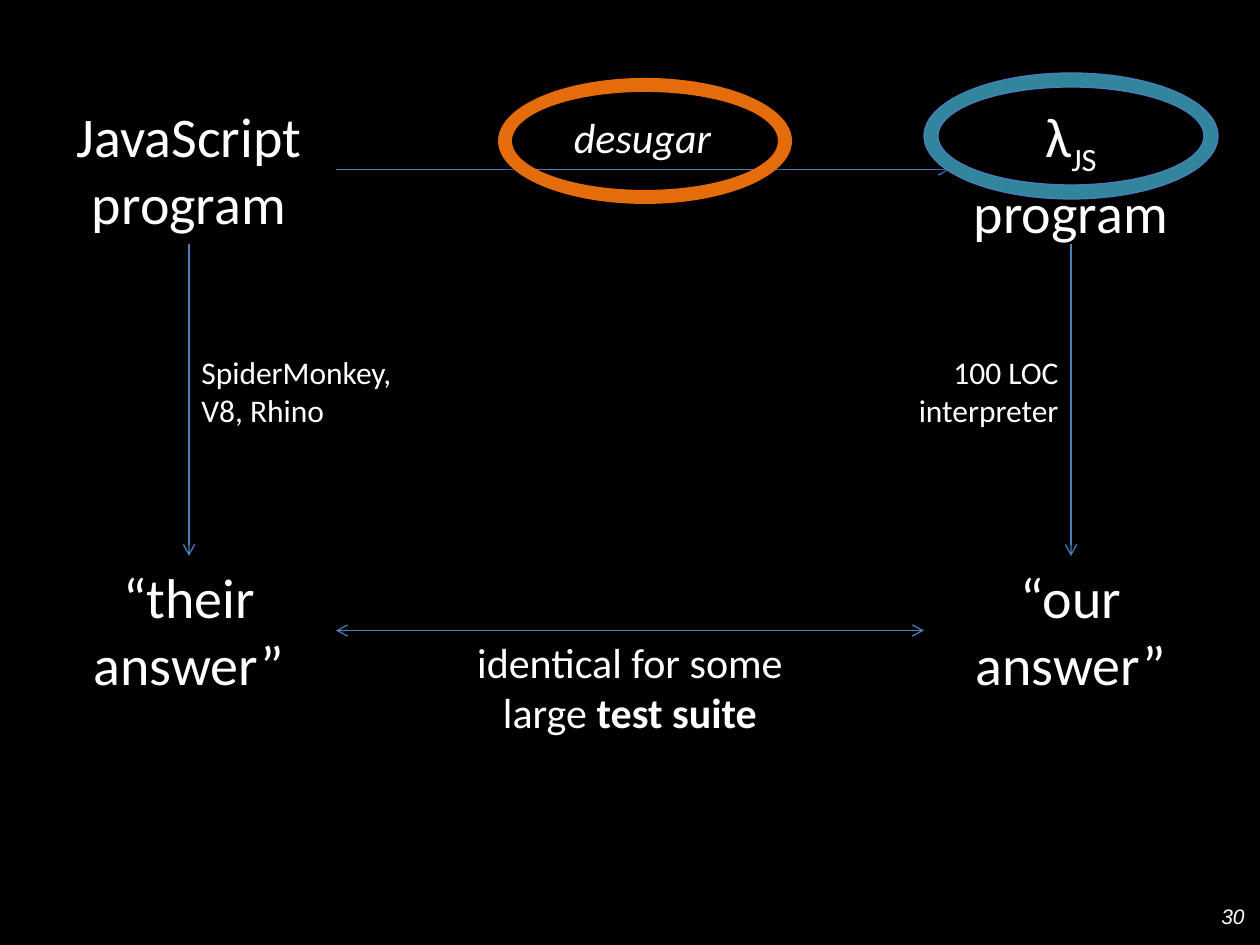
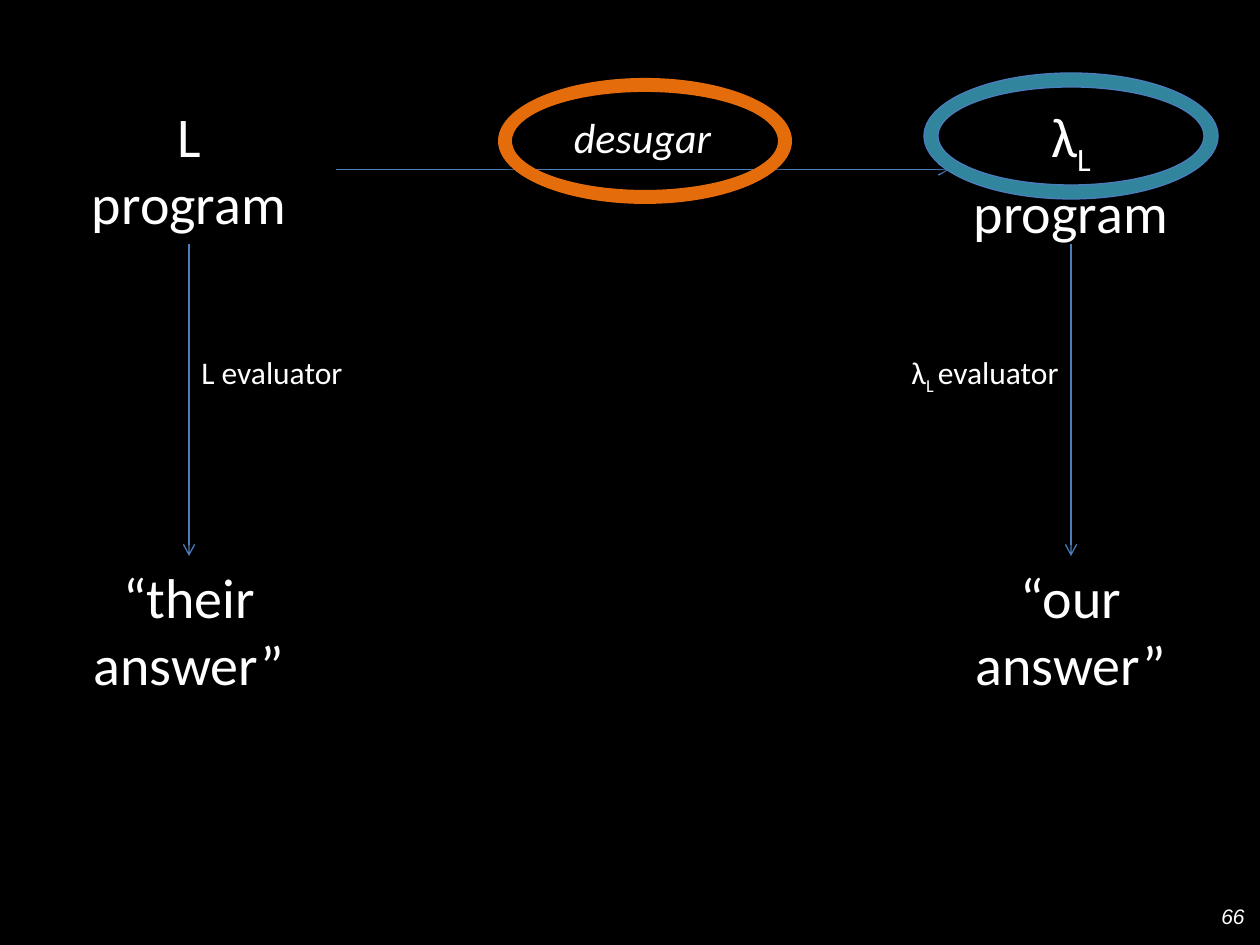
from dataclasses import dataclass
from lxml.etree import SubElement as Sub
from pptx import Presentation
from pptx.dml.color import RGBColor as RGB
from pptx.enum.shapes import MSO_CONNECTOR as Conn, MSO_SHAPE as Shape
from pptx.enum.text import MSO_ANCHOR as Anchor, MSO_AUTO_SIZE as Fit, PP_ALIGN as Align
from pptx.oxml.ns import qn
from pptx.util import Emu, Pt

TOP, LEFT, BOTTOM, RIGHT = range(4)


@dataclass(frozen=True)
class Theme:
    """Colours, fonts and sizes that the slides share."""
    back: RGB = RGB(0, 0, 0)
    ink: RGB = RGB(255, 255, 255)
    line: RGB = RGB(0x4B, 0x7E, 0xBC)
    teal: RGB = RGB(0x31, 0x85, 0x9C)
    orange: RGB = RGB(0xE4, 0x6C, 0x0A)
    body: str = "Calibri"
    foot: str = "Arial"
    node: int = 32
    edge: int = 24
    note: int = 18
    tiny: int = 12
    thin: float = 0.75


THEME = Theme()


def px(*nums):
    """Turn px lengths into EMU at 126 px to the inch."""
    return [Emu(round(num * 914400 / 126)) for num in nums]


def add_run(para, text, size, face, bold=False, slant=False, sub=False):
    """Add one formatted run."""
    run = para.add_run()
    run.text = text
    font = run.font
    font.size, font.name, font.color.rgb = Pt(size), face, THEME.ink
    if bold:
        font.bold = True
    if slant:
        font.italic = True
    if sub:
        run._r.get_or_add_rPr().set("baseline", "-25000")


def add_break(para, size, sub=False):
    """Add a line break as tall as the text before it."""
    para.add_line_break()
    props = Sub(para._p[-1], qn("a:rPr"), sz=str(size * 100))
    if sub:
        props.set("baseline", "-25000")


def add_text(slide, box, parts, size, align=Align.CENTER, face=THEME.body, grow=True):
    """Add a text box from (text, style) parts, where a newline breaks the line."""
    shape = slide.shapes.add_textbox(*px(*box))
    frame = shape.text_frame
    frame.word_wrap = True
    if grow:
        frame.auto_size = Fit.SHAPE_TO_FIT_TEXT
    else:
        frame.vertical_anchor = Anchor.MIDDLE
    para = frame.paragraphs[0]
    para.alignment = align
    for text, style in parts:
        for pos, row in enumerate(text.split("\n")):
            if pos:
                add_break(para, size, style.get("sub", False))
            if row:
                add_run(para, row, size, face, **style)
    return shape


def add_arrow(slide, start, exit, end, entry, both=False):
    """Join two boxes by an arrow, with two heads if asked."""
    link = slide.shapes.add_connector(Conn.STRAIGHT, 0, 0, 0, 0)
    link.begin_connect(start, exit)
    link.end_connect(end, entry)
    link.line.color.rgb = THEME.line
    link.line.width = Pt(THEME.thin)
    line = link.line._get_or_add_ln()
    for tag in ("a:headEnd", "a:tailEnd") if both else ("a:tailEnd",):
        Sub(line, qn(tag), type="arrow")
    Sub(link._element.spPr, qn("a:effectLst"))


def add_ring(slide, box, fill, edge=None):
    """Add a ring with a soft shadow below."""
    ring = slide.shapes.add_shape(Shape.DONUT, *px(*box))
    ring.adjustments[0] = 0.111
    ring.fill.solid()
    ring.fill.fore_color.rgb = fill
    if edge is None:
        ring.line.fill.background()
    else:
        ring.line.color.rgb = edge
        ring.line.width = Pt(THEME.thin)
    ring.shadow.inherit = False
    glow = Sub(ring._element.spPr.find(qn("a:effectLst")), qn("a:outerShdw"),
               blurRad=str(Pt(3.1)), dist=str(Pt(1.8)), dir="5400000", rotWithShape="0")
    tone = Sub(glow, qn("a:srgbClr"), val=str(THEME.back))
    Sub(tone, qn("a:alpha"), val="35000")


def add_map(deck, name, mark, left, right, tall, number, suite=None):
    """Add a slide that maps a language to its core, with two ways to an answer."""
    slide = deck.slides.add_slide(deck.slide_layouts[6])
    source = add_text(slide, (42, 95, 294, 149), [(name + "\nprogram", {})], THEME.node)
    core = add_text(slide, (950, 95, 242, 149),
                    [("λ", {}), (mark + "\n", {"sub": True}), ("program", {})], THEME.node)
    theirs, ours = [add_text(slide, (x, 556, 294, 149), [(f"“{who}\nanswer”", {})], THEME.node)
                    for x, who in ((42, "their"), (924, "our"))]
    add_arrow(slide, source, RIGHT, core, LEFT)
    add_arrow(slide, source, BOTTOM, theirs, TOP)
    add_arrow(slide, core, BOTTOM, ours, TOP)
    add_text(slide, (189, 347, 242, tall), left, THEME.note, Align.LEFT)
    add_text(slide, (829, 347, 242, tall), right, THEME.note, Align.RIGHT)
    add_text(slide, (548, 105, 189, 63), [("desugar", {"slant": True})], THEME.edge)
    if suite:
        add_arrow(slide, theirs, RIGHT, ours, LEFT, both=True)
        add_text(slide, (378, 630, 504, 115), suite, THEME.edge)
    add_text(slide, (963, 891, 294, 50), [(number, {"slant": True})], THEME.tiny,
             Align.RIGHT, THEME.foot, grow=False)
    add_ring(slide, (924, 73, 294, 126), THEME.teal, THEME.line)
    add_ring(slide, (498, 78, 294, 126), THEME.orange)


def main():
    """Build and save the deck."""
    deck = Presentation()
    deck.slide_width, deck.slide_height = px(1260, 945)
    fill = deck.slide_master.background.fill
    fill.solid()
    fill.fore_color.rgb = THEME.back
    add_map(deck, "JavaScript", "JS", [("SpiderMonkey, V8, Rhino", {})],
            [("100 LOC interpreter", {})], 89, "30",
            [("identical for some\nlarge ", {}), ("test suite", {"bold": True})])
    add_map(deck, "L", "L", [("L evaluator", {})],
            [("λ", {}), ("L ", {"sub": True}), ("evaluator", {})], 50, "66")
    deck.save("out.pptx")


if __name__ == "__main__":
    main()
